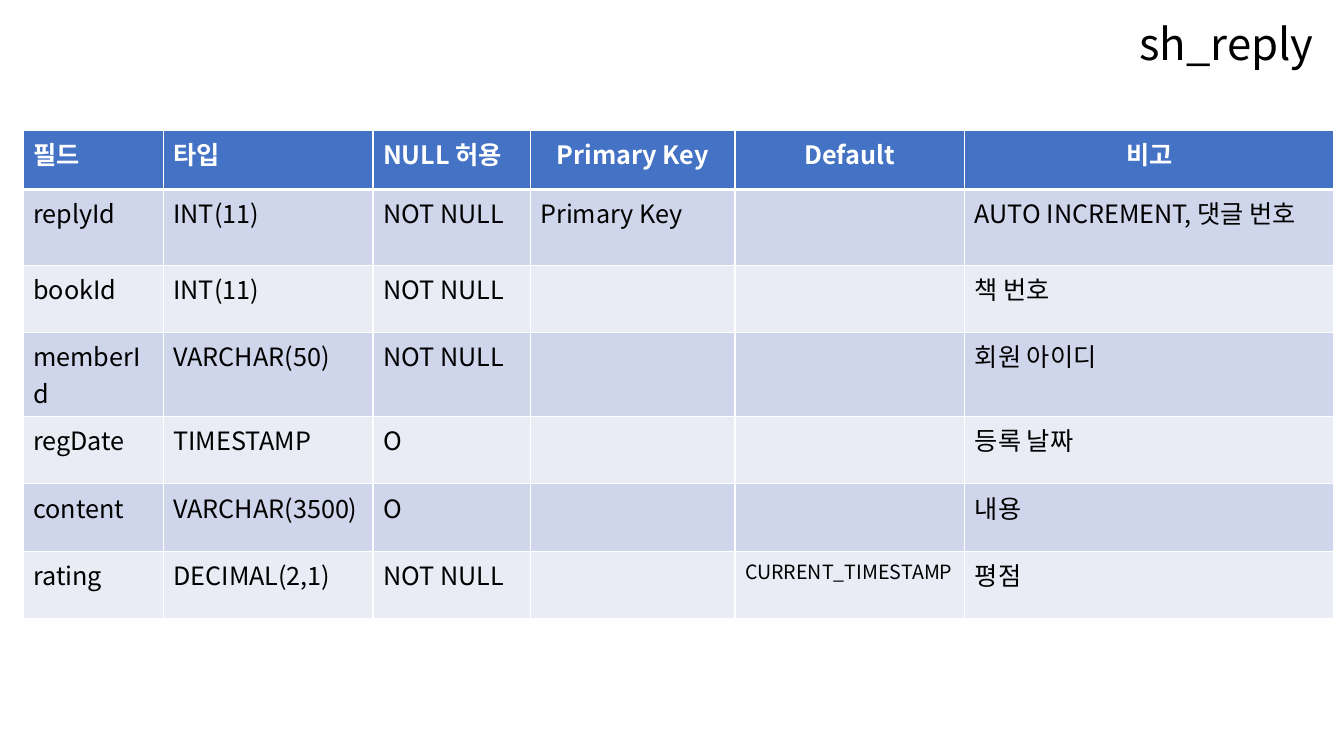
import pptx
import pptx.util
import pptx.dml.color
import pptx.enum.text
import pptx.oxml
import pptx.oxml.ns
from dataclasses import dataclass

Inches = pptx.util.Inches
Pt = pptx.util.Pt
Align = pptx.enum.text.PP_ALIGN
Anchor = pptx.enum.text.MSO_ANCHOR


@dataclass(frozen=True)
class Theme:
    font: str = "Noto Sans CJK KR"
    ink: str = "000000"
    white: str = "FFFFFF"
    head: str = "4472C4"
    bands: tuple = ("CFD5EA", "E9EBF5")
    title: float = 31.2
    body: float = 18
    small: float = 14
    thin: float = 1
    thick: float = 3


THEME = Theme()

HEADS = ["필드", "타입", "NULL 허용", "Primary Key", "Default", "비고"]
FIELDS = [
    ["replyId", "INT(11)", "NOT NULL", "Primary Key", "", "AUTO INCREMENT, 댓글 번호"],
    ["bookId", "INT(11)", "NOT NULL", "", "", "책 번호"],
    ["memberId", "VARCHAR(50)", "NOT NULL", "", "", "회원 아이디"],
    ["regDate", "TIMESTAMP", "O", "", "", "등록 날짜"],
    ["content", "VARCHAR(3500)", "O", "", "", "내용"],
    ["rating", "DECIMAL(2,1)", "NOT NULL", "", "CURRENT_TIMESTAMP", "평점"],
]
WIDTHS = [1.39, 2.08, 1.56, 2.03, 2.28, 3.66]
# The memberId row is tall enough for two lines
HEIGHTS = [0.59, 0.75, 0.67, 0.83, 0.67, 0.67, 0.67]


def rgb(code):
    return pptx.dml.color.RGBColor.from_string(code)


def write(frame, text, size=THEME.body, color=THEME.ink, bold=False,
          align=Align.LEFT, line=None):
    para = frame.paragraphs[0]
    para.alignment = align
    if line:
        para.line_spacing = line
    if not text:
        para.font.size = Pt(size)
        return
    run = para.add_run()
    run.text = text
    font = run.font
    font.name = THEME.font
    font.size = Pt(size)
    font.bold = bold
    font.color.rgb = rgb(color)
    # The Korean letters take the East Asian typeface
    asian = pptx.oxml.parse_xml(
        f'<a:ea {pptx.oxml.ns.nsdecls("a")} typeface="{THEME.font}"/>')
    font._element.find(pptx.oxml.ns.qn("a:latin")).addnext(asian)


def edge(cell, top, bottom):
    props = cell._tc.get_or_add_tcPr()
    sides = {"L": THEME.thin, "R": THEME.thin, "T": top, "B": bottom}
    for side, width in sides.items():
        props.append(pptx.oxml.parse_xml(
            f'<a:ln{side} {pptx.oxml.ns.nsdecls("a")} w="{Pt(width)}">'
            f'<a:solidFill><a:srgbClr val="{THEME.white}"/></a:solidFill>'
            f'</a:ln{side}>'))


def title(slide, left, top, width, height):
    box = slide.shapes.add_textbox(
        Inches(left), Inches(top), Inches(width), Inches(height))
    frame = box.text_frame
    frame.word_wrap = True
    frame.vertical_anchor = Anchor.MIDDLE
    write(frame, "sh_reply", size=THEME.title, line=0.9)


def fields(slide, left, top):
    rows = [HEADS] + FIELDS
    table = slide.shapes.add_table(
        len(rows), len(HEADS), Inches(left), Inches(top),
        Inches(sum(WIDTHS)), Inches(sum(HEIGHTS))).table
    for col, width in zip(table.columns, WIDTHS):
        col.width = Inches(width)
    for row, height in zip(table.rows, HEIGHTS):
        row.height = Inches(height)

    for r, row in enumerate(rows):
        for c, text in enumerate(row):
            cell = table.cell(r, c)
            # A thick rule parts the header from the body
            edge(cell, THEME.thick if r == 1 else THEME.thin,
                 THEME.thick if r == 0 else THEME.thin)
            cell.fill.solid()
            if r == 0:
                cell.fill.fore_color.rgb = rgb(THEME.head)
                write(cell.text_frame, text, color=THEME.white, bold=True,
                      align=Align.CENTER if c > 2 else Align.LEFT)
            else:
                cell.fill.fore_color.rgb = rgb(THEME.bands[(r - 1) % 2])
                default = text and HEADS[c] == "Default"
                write(cell.text_frame, text,
                      size=THEME.small if default else THEME.body)


def main():
    deck = pptx.Presentation()
    deck.slide_width = Inches(13.33)
    deck.slide_height = Inches(7.5)
    slide = deck.slides.add_slide(deck.slide_layouts[6])
    title(slide, 11.2, 0.15, 2.79, 0.63)
    fields(slide, 0.23, 1.29)
    deck.save("out.pptx")


if __name__ == "__main__":
    main()
